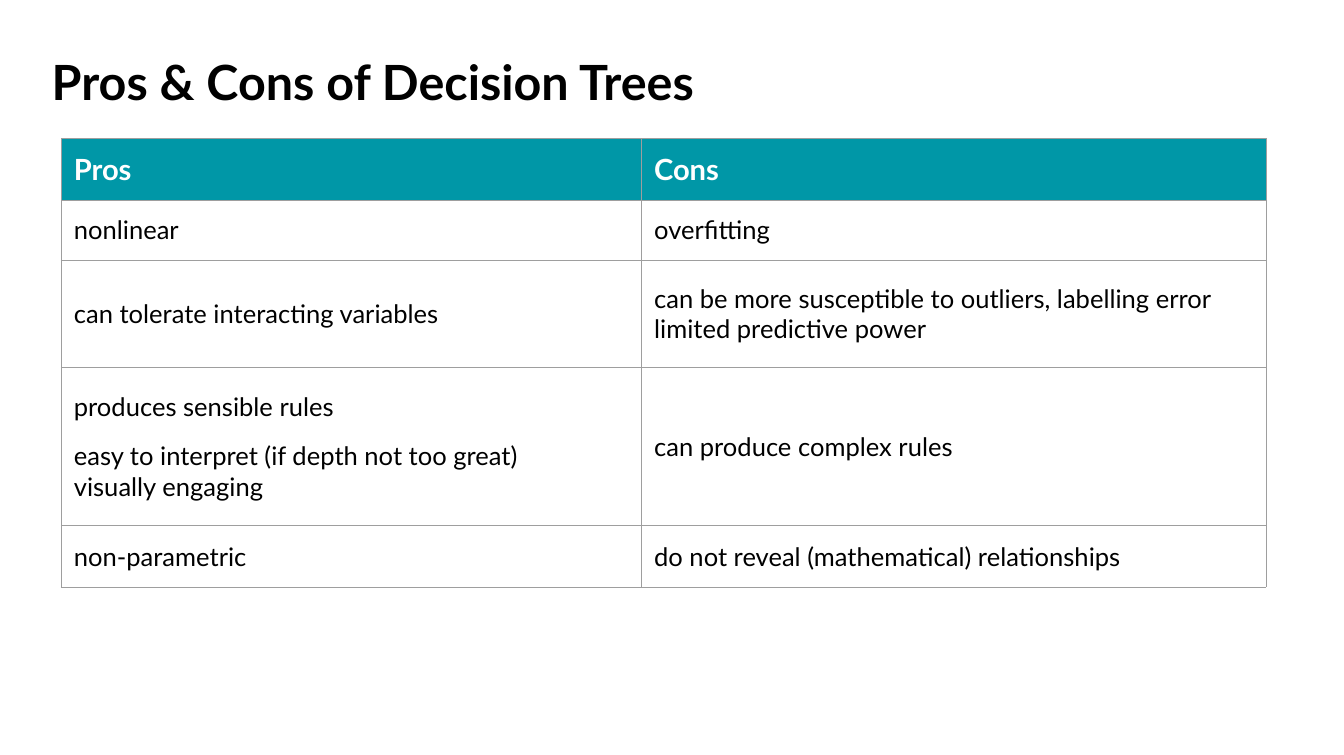
from dataclasses import dataclass

from lxml.etree import SubElement
from pptx import Presentation
from pptx.dml.color import RGBColor
from pptx.enum.text import MSO_ANCHOR, PP_ALIGN
from pptx.oxml.ns import qn
from pptx.util import Cm, Inches, Pt

TITLE = "Pros & Cons of Decision Trees"
HEADINGS = ("Pros", "Cons")
SPACED = True
# Each cell is a list of (paragraph, has space before)
COMPARISON = [
    ([("nonlinear", False)], [("overfitting", False)]),
    (
        [("can tolerate interacting variables", False)],
        [
            ("can be more susceptible to outliers, labelling error", SPACED),
            ("limited predictive power", False),
        ],
    ),
    (
        [
            ("produces sensible rules", SPACED),
            ("easy to interpret (if depth not too great)", SPACED),
            ("visually engaging", False),
        ],
        [("can produce complex rules", False)],
    ),
    (
        [("non-parametric", False)],
        [("do not reveal (mathematical) relationships", False)],
    ),
]
COLUMN_WIDTHS = (11.23, 12.09)
ROW_HEIGHTS = (1.19, 1.16, 2.08, 3.05, 1.2)


@dataclass(frozen=True)
class Theme:
    font: str = "Lato"
    text: str = "000000"
    heading_text: str = "FFFFFF"
    heading_fill: str = "0097A7"
    border: str = "9E9E9E"
    border_width: float = 0.25
    title_size: float = 26.6
    heading_size: int = 16
    body_size: int = 14
    paragraph_gap: int = 10
    inset: float = 0.25


THEME = Theme()


def format_runs(paragraph, size, color, bold):
    for run in paragraph.runs:
        run.font.name = THEME.font
        run.font.size = Pt(size)
        run.font.bold = bold
        run.font.color.rgb = RGBColor.from_string(color)


def set_margins(box):
    """Give a cell or text frame the same inset on all four sides."""
    box.margin_left = box.margin_right = Cm(THEME.inset)
    box.margin_top = box.margin_bottom = Cm(THEME.inset)


def add_borders(cell):
    properties = cell._tc.get_or_add_tcPr()
    for position, side in enumerate(("a:lnL", "a:lnR", "a:lnT", "a:lnB")):
        line = SubElement(properties, qn(side), w=str(Pt(THEME.border_width)))
        fill = SubElement(line, qn("a:solidFill"))
        SubElement(fill, qn("a:srgbClr"), val=THEME.border)
        properties.insert(position, line)


def fill_cell(cell, paragraphs, size, color, bold):
    set_margins(cell)
    cell.vertical_anchor = MSO_ANCHOR.MIDDLE
    cell.text_frame.text = "\n".join(text for text, _ in paragraphs)
    for paragraph, (_, spaced) in zip(cell.text_frame.paragraphs, paragraphs):
        paragraph.space_before = Pt(THEME.paragraph_gap if spaced else 0)
        format_runs(paragraph, size, color, bold)
    add_borders(cell)


def add_title(slide):
    title = slide.shapes.title
    title.left, title.top = Cm(0.75), Cm(0.76)
    title.width, title.height = Cm(23.6), Cm(1.63)
    frame = title.text_frame
    frame.text = TITLE
    frame.vertical_anchor = MSO_ANCHOR.TOP
    set_margins(frame)
    paragraph = frame.paragraphs[0]
    paragraph.alignment = PP_ALIGN.LEFT
    format_runs(paragraph, THEME.title_size, THEME.text, True)


def add_comparison(slide):
    table = slide.shapes.add_table(
        len(ROW_HEIGHTS), len(COLUMN_WIDTHS), Cm(1.18), Cm(2.68),
        Cm(sum(COLUMN_WIDTHS)), Cm(sum(ROW_HEIGHTS)),
    ).table
    table.first_row = True
    table.horz_banding = False
    for column, width in zip(table.columns, COLUMN_WIDTHS):
        column.width = Cm(width)
    for row, height in zip(table.rows, ROW_HEIGHTS):
        row.height = Cm(height)

    for cell, heading in zip(table.rows[0].cells, HEADINGS):
        cell.fill.solid()
        cell.fill.fore_color.rgb = RGBColor.from_string(THEME.heading_fill)
        fill_cell(cell, [(heading, False)], THEME.heading_size, THEME.heading_text, True)
    for row_index, entries in enumerate(COMPARISON, start=1):
        for cell, paragraphs in zip(table.rows[row_index].cells, entries):
            cell.fill.background()
            fill_cell(cell, paragraphs, THEME.body_size, THEME.text, False)


def main():
    presentation = Presentation()
    presentation.slide_width, presentation.slide_height = Inches(10.24), Inches(5.75)
    slide = presentation.slides.add_slide(presentation.slide_layouts.get_by_name("Title Only"))
    add_title(slide)
    add_comparison(slide)
    presentation.save("out.pptx")


if __name__ == "__main__":
    main()
